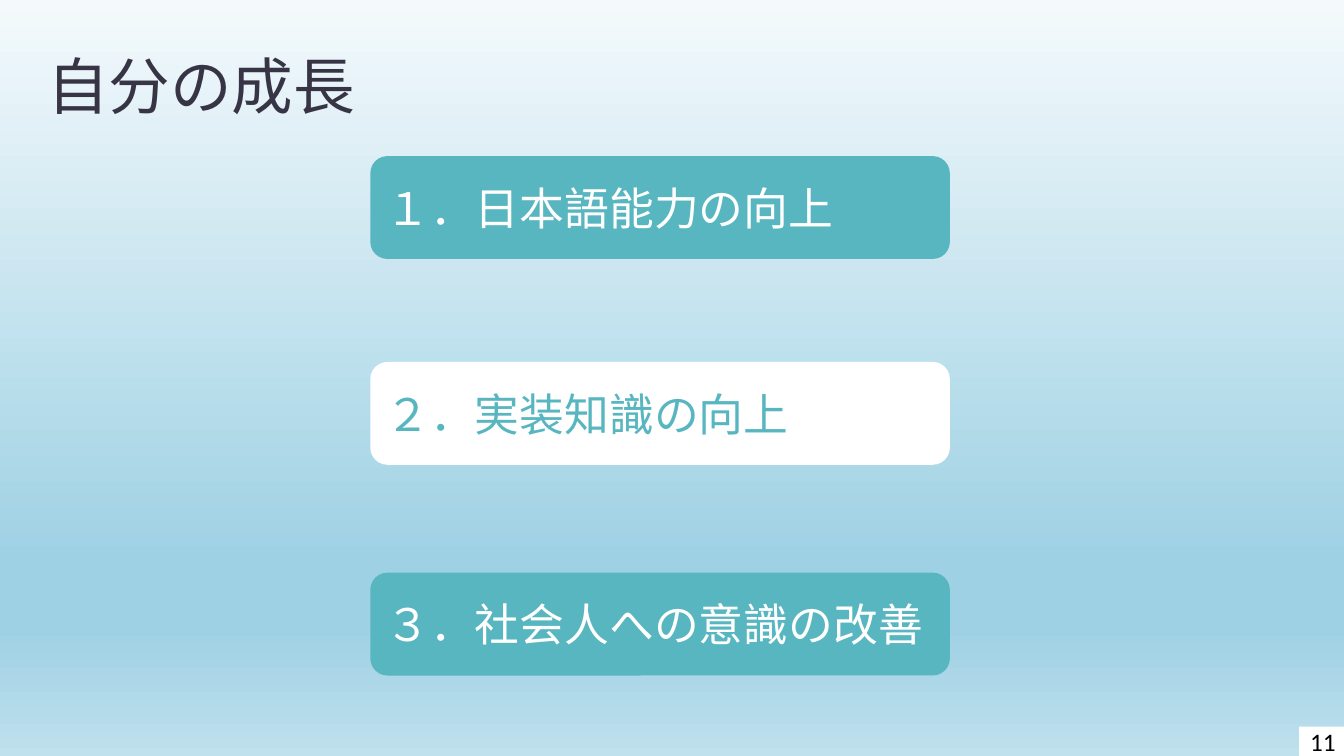
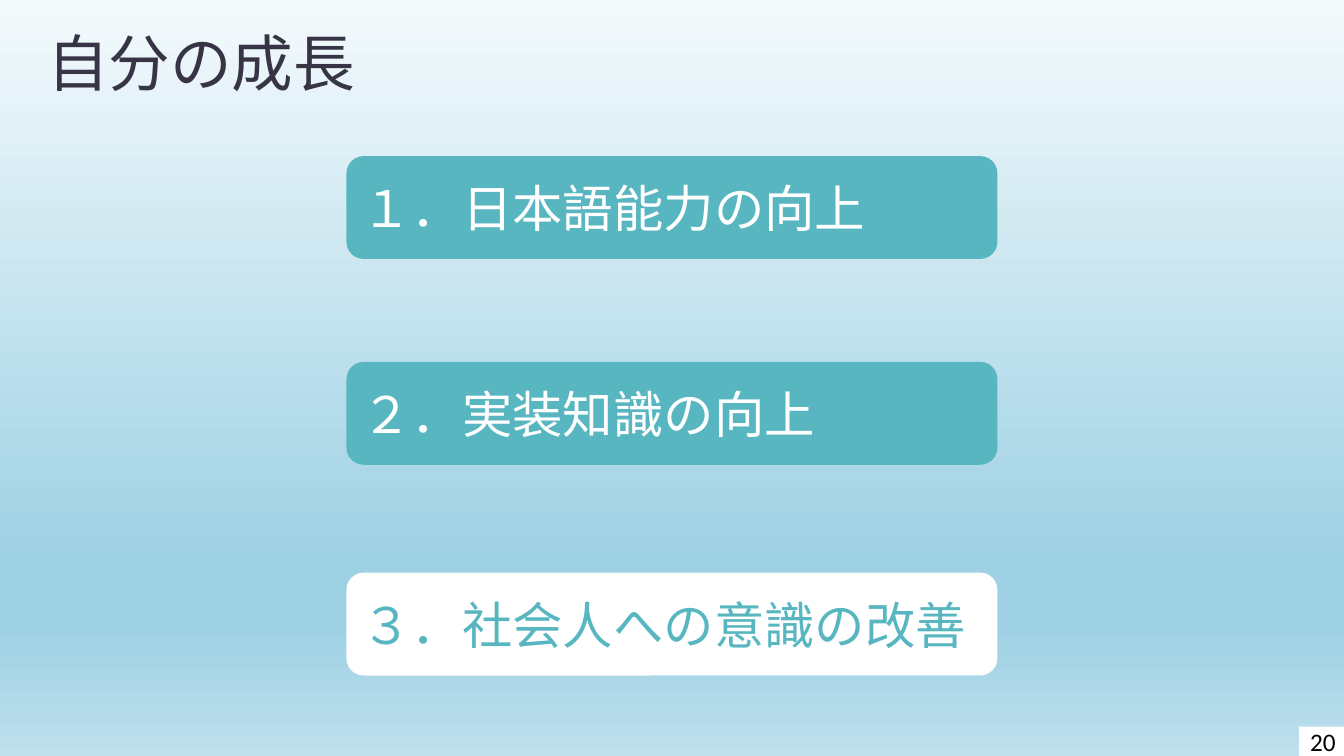
from pptx import Presentation
from pptx import util as u
from pptx.dml.color import RGBColor
from pptx.enum import shapes, text
from pptx.oxml import parse_xml
from pptx.oxml import ns

COLORS = {"teal": "58B6C0", "white": "FFFFFF", "title": "373545", "black": "000000"}
SKY_STOPS = ((0, "F4FAFC"), (74, "9FD1E4"), (83, "9FD1E4"), (100, "BFE0ED"))
CJK_FONT = "Noto Sans CJK JP"
TITLE = "自分の成長"
GOALS = ("１．日本語能力の向上", "２．実装知識の向上", "３．社会人への意識の改善")
GOAL_TOPS = (0, 147, 297.5)
GOAL_HEIGHT = 73.5


def color(name):
    return RGBColor.from_string(COLORS[name])


def place(shape, left, top, width, height):
    shape.left, shape.top = u.Pt(left), u.Pt(top)
    shape.width, shape.height = u.Pt(width), u.Pt(height)


def write(shape, words, size, ink, font="Calibri", align=text.PP_ALIGN.LEFT,
          anchor=text.MSO_ANCHOR.MIDDLE, line_spacing=None):
    frame = shape.text_frame
    frame.word_wrap = True
    frame.auto_size = text.MSO_AUTO_SIZE.NONE
    frame.vertical_anchor = anchor
    paragraph = frame.paragraphs[0]
    paragraph.alignment = align
    paragraph.line_spacing = line_spacing
    run = paragraph.add_run()
    run.text = words
    run.font.size = u.Pt(size)
    run.font.name = font
    run.font.color.rgb = color(ink)
    # East Asian typeface for the Japanese characters
    latin = run.font._element.find(ns.qn("a:latin"))
    latin.addnext(parse_xml(f'<a:ea {ns.nsdecls("a")} typeface="{CJK_FONT}"/>'))


def add_panel(slide, kind, box, fill):
    panel = slide.shapes.add_shape(kind, 0, 0, 0, 0)
    place(panel, *box)
    panel.shadow.inherit = False
    panel.fill.solid()
    panel.fill.fore_color.rgb = color(fill)
    panel.line.fill.background()
    return panel


def set_sky_background(master):
    fill = master.background.fill
    fill.gradient()
    fill.gradient_angle = 270
    stops = master.element.find(".//" + ns.qn("a:gsLst"))
    for stop in list(stops):
        stops.remove(stop)
    for position, tone in SKY_STOPS:
        stops.append(parse_xml(
            f'<a:gs {ns.nsdecls("a")} pos="{position * 1000}">'
            f'<a:srgbClr val="{tone}"/></a:gs>'))


def add_goals(slide, left, top, width, size, current):
    for index, (goal, offset) in enumerate(zip(GOALS, GOAL_TOPS)):
        fill, ink = ("white", "teal") if index == current else ("teal", "white")
        box = (left, top + offset, width, GOAL_HEIGHT)
        panel = add_panel(slide, shapes.MSO_SHAPE.ROUNDED_RECTANGLE, box, fill)
        write(panel, goal, size, ink)


def add_page_number(slide, number):
    box = (928, 519, 34, 21)
    panel = add_panel(slide, shapes.MSO_SHAPE.RECTANGLE, box, "white")
    write(panel, str(number), 18, "black", align=text.PP_ALIGN.CENTER)


def add_goal_slide(presentation, title_top, goals_left, goals_width, size, current, number):
    slide = presentation.slides.add_slide(presentation.slide_layouts[5])
    title = slide.shapes.title
    place(title, 26.5, title_top, 238.5, 55.5)
    write(title, TITLE, 44, "title", font=CJK_FONT,
          anchor=text.MSO_ANCHOR.BOTTOM, line_spacing=0.8)
    add_goals(slide, goals_left, 111.5, goals_width, size, current)
    add_page_number(slide, number)


def main():
    presentation = Presentation()
    presentation.slide_width, presentation.slide_height = u.Pt(960), u.Pt(540)
    set_sky_background(presentation.slide_master)
    # Second goal highlighted
    add_goal_slide(presentation, title_top=34.5, goals_left=264.5, goals_width=414,
                   size=32, current=1, number=11)
    # Third goal highlighted
    add_goal_slide(presentation, title_top=18.5, goals_left=247.5, goals_width=465,
                   size=36, current=2, number=20)
    presentation.save("out.pptx")


if __name__ == "__main__":
    main()
